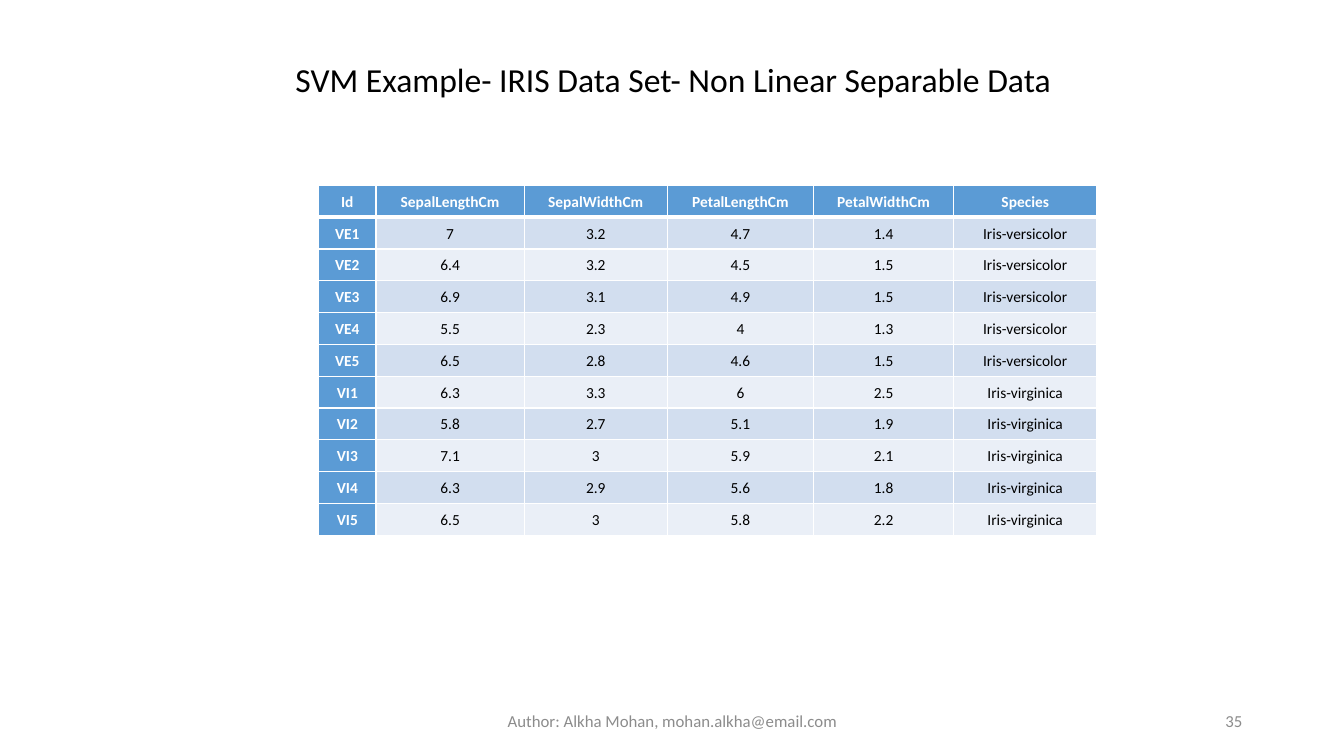
from lxml import etree
from pptx import Presentation
from pptx.dml.color import RGBColor
from pptx.enum.text import MSO_ANCHOR, PP_ALIGN
from pptx.oxml.ns import qn
from pptx.util import Pt

CENTER, RIGHT = PP_ALIGN.CENTER, PP_ALIGN.RIGHT
TOP, MIDDLE = MSO_ANCHOR.TOP, MSO_ANCHOR.MIDDLE
EMU_PER_PX = 9144
FONT = "Calibri"
COLORS = {
    "header": "5B9BD5",
    "odd_row": "D2DEEF",
    "even_row": "EAEFF7",
    "white": "FFFFFF",
    "black": "000000",
    "footer": "8C8C8C",
}
COLUMN_WIDTHS = [57, 147, 142, 145, 139, 142]
HEADINGS = ["Id", "SepalLengthCm", "SepalWidthCm", "PetalLengthCm", "PetalWidthCm", "Species"]
SAMPLES = {
    "Iris-versicolor": [
        ("VE1", "7", "3.2", "4.7", "1.4"),
        ("VE2", "6.4", "3.2", "4.5", "1.5"),
        ("VE3", "6.9", "3.1", "4.9", "1.5"),
        ("VE4", "5.5", "2.3", "4", "1.3"),
        ("VE5", "6.5", "2.8", "4.6", "1.5"),
    ],
    "Iris-virginica": [
        ("VI1", "6.3", "3.3", "6", "2.5"),
        ("VI2", "5.8", "2.7", "5.1", "1.9"),
        ("VI3", "7.1", "3", "5.9", "2.1"),
        ("VI4", "6.3", "2.9", "5.6", "1.8"),
        ("VI5", "6.5", "3", "5.8", "2.2"),
    ],
}


def px(length):
    """Turn a length in px into EMU."""
    return length * EMU_PER_PX


def rgb(color):
    """Look up a named colour."""
    return RGBColor.from_string(COLORS[color])


def write(frame, text, size, color, align, bold=False):
    """Put one formatted paragraph in a text frame and return it."""
    frame.text = text
    paragraph = frame.paragraphs[0]
    paragraph.alignment = align
    font = paragraph.runs[0].font
    font.name, font.size, font.bold = FONT, Pt(size), bold
    font.color.rgb = rgb(color)
    return paragraph


def add_label(slide, box, text, size, color, align, anchor):
    """Add a wrapped text box and return its paragraph."""
    frame = slide.shapes.add_textbox(*map(px, box)).text_frame
    frame.word_wrap = True
    frame.vertical_anchor = anchor
    return write(frame, text, size, color, align)


def set_borders(cell, top, bottom):
    """Draw white cell borders with the given top and bottom widths in points."""
    properties = cell._tc.get_or_add_tcPr()
    edges = [("a:lnL", 1), ("a:lnR", 1), ("a:lnT", top), ("a:lnB", bottom)]
    for position, (tag, width) in enumerate(edges):
        line = etree.Element(qn(tag), w=str(Pt(width)))
        fill = etree.SubElement(line, qn("a:solidFill"))
        etree.SubElement(fill, qn("a:srgbClr"), val=COLORS["white"])
        properties.insert(position, line)


def fill_cell(cell, text, row, column):
    """Write and style one table cell according to its place."""
    heading = row == 0 or column == 0
    band = "odd_row" if row % 2 else "even_row"
    cell.fill.solid()
    cell.fill.fore_color.rgb = rgb("header" if heading else band)
    cell.margin_left = cell.margin_right = px(7)
    cell.margin_top = cell.margin_bottom = 0
    cell.vertical_anchor = MIDDLE
    color = "white" if heading else "black"
    write(cell.text_frame, text, 11, color, CENTER, heading).line_spacing = 1.07
    set_borders(cell, 3 if row == 1 else 1, 3 if row == 0 else 1)


def add_iris_table(slide):
    """Add the table of iris measurements."""
    rows = [HEADINGS]
    for species, measurements in SAMPLES.items():
        rows += [(*measurement, species) for measurement in measurements]
    table = slide.shapes.add_table(
        len(rows), len(HEADINGS), px(316), px(184), px(sum(COLUMN_WIDTHS)), px(347)
    ).table
    table.first_col = True
    for column, width in zip(table.columns, COLUMN_WIDTHS):
        column.width = px(width)
    for row, texts in enumerate(rows):
        table.rows[row].height = px(347) // len(rows)
        for column, text in enumerate(texts):
            fill_cell(table.cell(row, column), text, row, column)


def main():
    """Build the slide and save it."""
    presentation = Presentation()
    presentation.slide_width, presentation.slide_height = px(1333), px(750)
    slide = presentation.slides.add_slide(presentation.slide_layouts[6])
    title = add_label(
        slide, (64, 58, 1215, 620),
        "SVM Example- IRIS Data Set- Non Linear Separable Data ", 24, "black", CENTER, TOP,
    )
    title.line_spacing = 0.9
    title.space_before = Pt(10)
    add_iris_table(slide)
    add_label(slide, (942, 695, 300, 40), "35", 12, "footer", RIGHT, MIDDLE)
    add_label(
        slide, (442, 695, 450, 40),
        "Author: Alkha Mohan, mohan.alkha@email.com", 12, "footer", CENTER, MIDDLE,
    )
    presentation.save("out.pptx")


if __name__ == "__main__":
    main()
